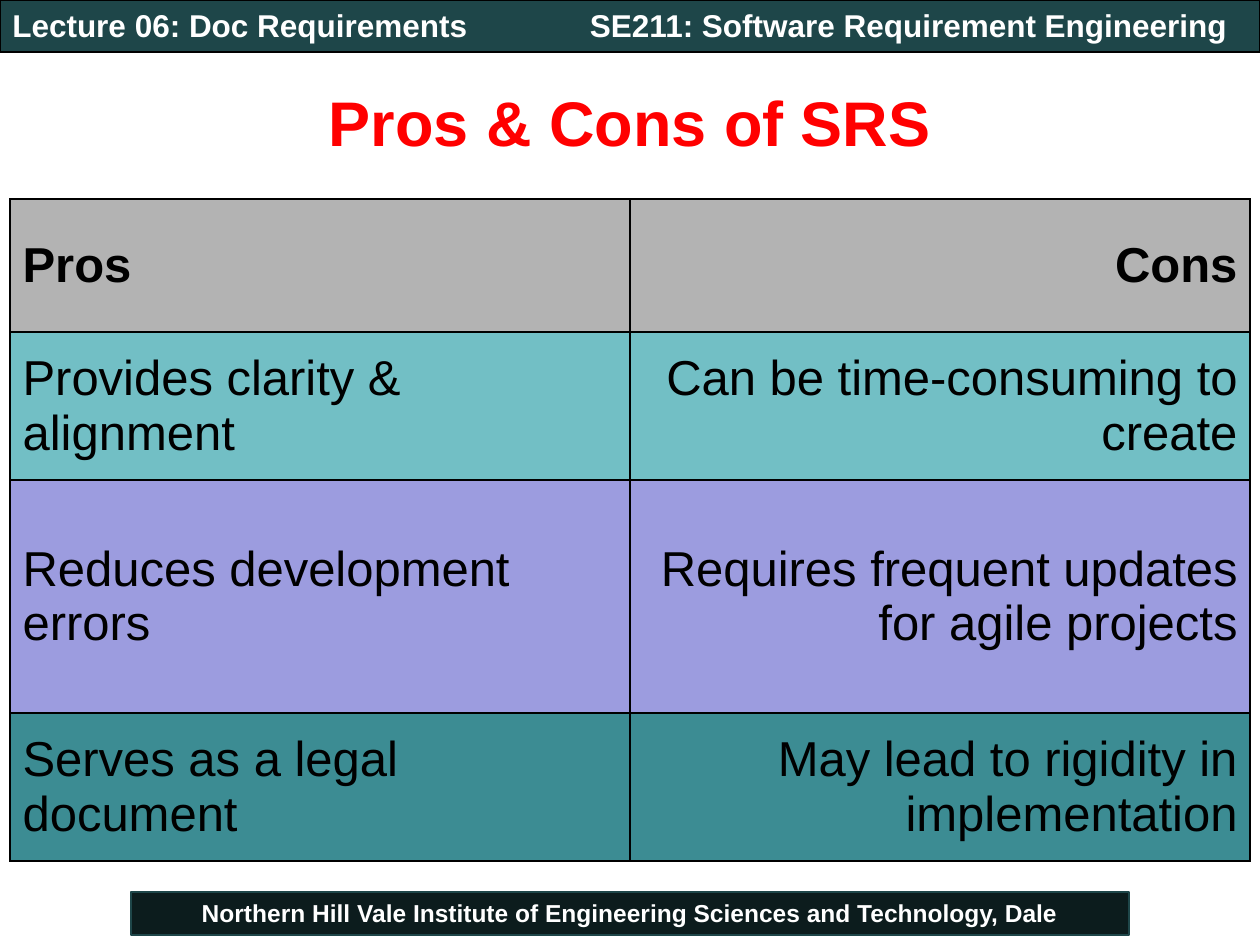
from dataclasses import dataclass
from typing import NamedTuple

from lxml import etree
from pptx import Presentation
from pptx import util as u
from pptx.dml import color
from pptx.enum import shapes, text
from pptx.oxml import ns

PX_PER_INCH = 126


@dataclass(frozen=True)
class Theme:
    font: str = "Arial"
    ink: str = "000000"
    light: str = "FFFFFF"
    accent: str = "FF0000"
    header_bar: str = "1E4649"
    footer_bar: str = "0C1C1D"
    title_size: int = 36
    table_size: int = 28
    header_size: int = 18
    footer_size: int = 14
    bar_line: float = 0.75
    cell_line: int = 1


class Box(NamedTuple):
    left: int
    top: int
    width: int
    height: int


class Bar(NamedTuple):
    box: Box
    fill: str
    line: str
    label: str
    size: int
    align: text.PP_ALIGN


class Row(NamedTuple):
    pro: str
    con: str
    height: int
    fill: str
    bold: bool = False


THEME = Theme()
LEFT, CENTER, RIGHT = text.PP_ALIGN.LEFT, text.PP_ALIGN.CENTER, text.PP_ALIGN.RIGHT

BARS = [
    Bar(Box(131, 892, 998, 43), THEME.footer_bar, THEME.header_bar,
        "Northern Hill Vale Institute of Engineering Sciences and Technology, Dale",
        THEME.footer_size, CENTER),
    Bar(Box(0, 0, 1260, 52), THEME.header_bar, THEME.ink,
        "Lecture 06: Doc Requirements", THEME.header_size, LEFT),
]
ROWS = [
    Row("Pros", "Cons", 133, "B3B3B3", bold=True),
    Row("Provides clarity & alignment", "Can be time-consuming to create", 148, "72BFC5"),
    Row("Reduces development errors", "Requires frequent updates for agile projects", 233, "9C9CDF"),
    Row("Serves as a legal document", "May lead to rigidity in implementation", 148, "3C8C93"),
]


def emu(px: int) -> u.Emu:
    return u.Emu(round(px * u.Inches(1) / PX_PER_INCH))


def place(box: Box) -> list[u.Emu]:
    return [emu(length) for length in box]


def rgb(value: str) -> color.RGBColor:
    return color.RGBColor.from_string(value)


def write(frame, words: str, *, size: int, ink: str, bold: bool = True, align=LEFT) -> None:
    frame.word_wrap = True
    paragraph = frame.paragraphs[0]
    paragraph.alignment = align
    run = paragraph.add_run()
    run.text = words
    run.font.name = THEME.font
    run.font.size = u.Pt(size)
    run.font.bold = bold
    run.font.color.rgb = rgb(ink)


def draw_bar(slide, bar: Bar) -> None:
    rect = slide.shapes.add_shape(shapes.MSO_SHAPE.RECTANGLE, *place(bar.box))
    rect.shadow.inherit = False
    rect.fill.solid()
    rect.fill.fore_color.rgb = rgb(bar.fill)
    rect.line.color.rgb = rgb(bar.line)
    rect.line.width = u.Pt(THEME.bar_line)
    rect.text_frame.vertical_anchor = text.MSO_ANCHOR.TOP
    write(rect.text_frame, bar.label, size=bar.size, ink=THEME.light, align=bar.align)


def border_cell(cell) -> None:
    properties = cell._tc.get_or_add_tcPr()
    for position, side in enumerate(("lnL", "lnR", "lnT", "lnB")):
        line = etree.Element(ns.qn(f"a:{side}"), w=str(u.Pt(THEME.cell_line)))
        fill = etree.SubElement(line, ns.qn("a:solidFill"))
        etree.SubElement(fill, ns.qn("a:srgbClr"), val=THEME.ink)
        properties.insert(position, line)


def draw_table(slide, rows: list[Row], left: int, top: int, column_width: int) -> None:
    box = Box(left, top, 2 * column_width, sum(row.height for row in rows))
    table = slide.shapes.add_table(len(rows), 2, *place(box)).table
    for column in table.columns:
        column.width = emu(column_width)
    for index, row in enumerate(rows):
        table.rows[index].height = emu(row.height)
        for side, (words, align) in enumerate(((row.pro, LEFT), (row.con, RIGHT))):
            cell = table.cell(index, side)
            cell.fill.solid()
            cell.fill.fore_color.rgb = rgb(row.fill)
            cell.vertical_anchor = text.MSO_ANCHOR.MIDDLE
            write(cell.text_frame, words, size=THEME.table_size, ink=THEME.ink,
                  bold=row.bold, align=align)
            border_cell(cell)


def main() -> None:
    deck = Presentation()
    deck.slide_width, deck.slide_height = emu(1260), emu(945)
    slide = deck.slides.add_slide(deck.slide_layouts[6])

    # Footer and header bars
    for bar in BARS:
        draw_bar(slide, bar)

    # Course name, set in from the left of its box
    course = slide.shapes.add_textbox(*place(Box(451, 0, 809, 50))).text_frame
    course.margin_left = emu(139)
    write(course, "SE211: Software Requirement Engineering",
          size=THEME.header_size, ink=THEME.light)

    # Title
    title = slide.shapes.add_textbox(*place(Box(0, 63, 1260, 116))).text_frame
    title.vertical_anchor = text.MSO_ANCHOR.MIDDLE
    write(title, "Pros & Cons of SRS", size=THEME.title_size, ink=THEME.accent, align=CENTER)

    # Comparison table
    draw_table(slide, ROWS, left=10, top=199, column_width=620)

    deck.save("out.pptx")


if __name__ == "__main__":
    main()
